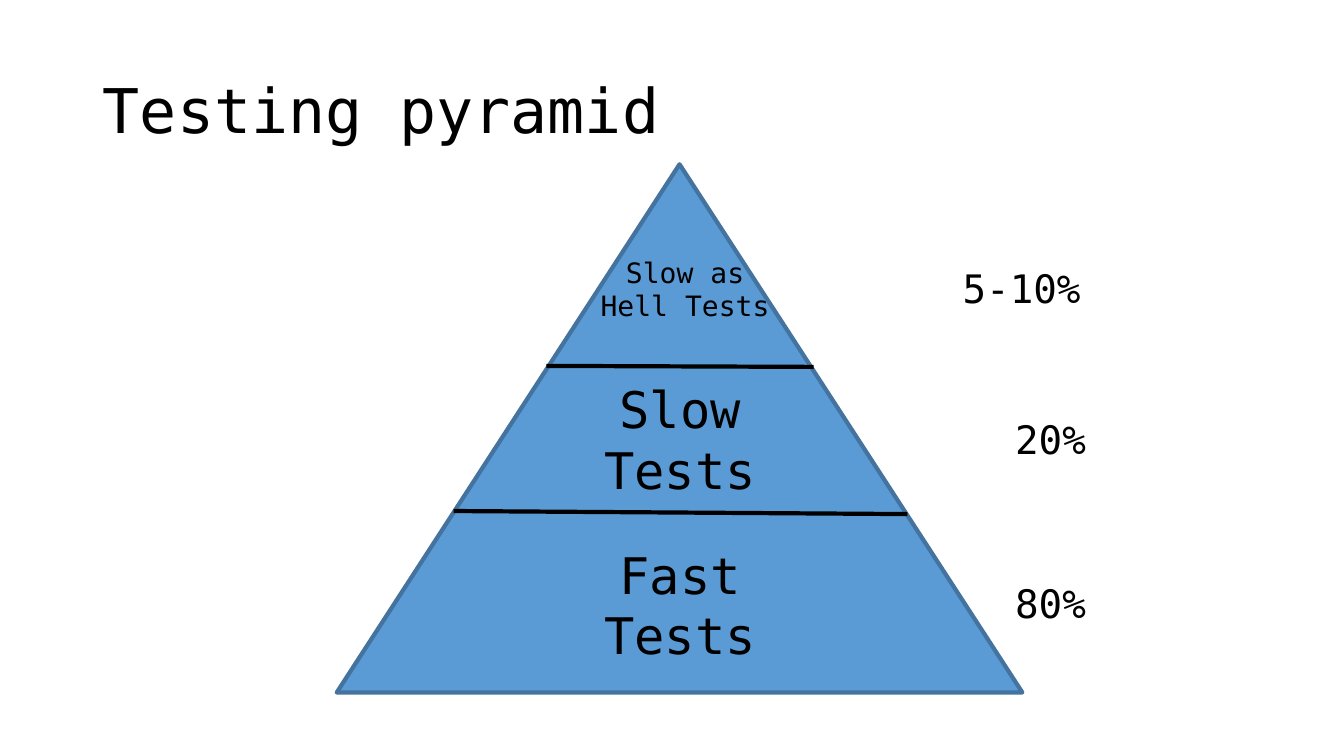
from dataclasses import dataclass

from lxml import etree
from pptx import Presentation
from pptx.dml.color import RGBColor
from pptx.enum import shapes, text
from pptx.oxml import ns
from pptx.util import Inches, Pt

FONT = "DejaVu Sans Mono"
COLORS = {"ink": "000000", "fill": "5B9BD5", "edge": "43739E"}


@dataclass
class Label:
    words: str
    left: float
    top: float
    width: float
    height: float
    size: int
    align: text.PP_ALIGN = text.PP_ALIGN.LEFT
    anchor: text.MSO_ANCHOR = text.MSO_ANCHOR.TOP


@dataclass
class Divider:
    x1: float
    y1: float
    x2: float
    y2: float


def tier(words: str, top: float, size: int, left: float = 5.38, height: float = 0.71) -> Label:
    return Label(words, left, top, 2.73, height, size,
                 text.PP_ALIGN.CENTER, text.MSO_ANCHOR.MIDDLE)


def share(words: str, top: float, left: float = 9.97, width: float = 0.95) -> Label:
    return Label(words, left, top, width, 0.57, 28)


DIVIDERS = [Divider(4.5, 5.07, 9, 5.1), Divider(5.42, 3.63, 8.07, 3.64)]
LABELS = [
    tier("Fast Tests", 5.64, 36),
    tier("Slow Tests", 4, 36),
    tier("Slow as\nHell Tests", 2.48, 20, left=5.43, height=0.77),
    share("80%", 5.7),
    share("20%", 4.07),
    share("5-10%", 2.57, left=9.45, width=1.63),
]


def rgb(name: str) -> RGBColor:
    return RGBColor.from_string(COLORS[name])


def write(tf, words: str, *, size: int, align=text.PP_ALIGN.LEFT,
          anchor=text.MSO_ANCHOR.TOP, spacing: float = 1.0,
          fit=text.MSO_AUTO_SIZE.SHAPE_TO_FIT_TEXT) -> None:
    tf.word_wrap = True
    tf.auto_size = fit
    tf.vertical_anchor = anchor
    for i, line in enumerate(words.split("\n")):
        p = tf.add_paragraph() if i else tf.paragraphs[0]
        p.alignment = align
        p.line_spacing = spacing
        r = p.add_run()
        r.text = line
        r.font.name = FONT
        r.font.size = Pt(size)
        r.font.color.rgb = rgb("ink")


def add_title(s, words: str) -> None:
    sp = s.shapes.title
    sp.left, sp.top = Inches(0.92), Inches(0.4)
    sp.width, sp.height = Inches(11.5), Inches(1.45)
    write(sp.text_frame, words, size=44, anchor=text.MSO_ANCHOR.MIDDLE,
          spacing=0.9, fit=text.MSO_AUTO_SIZE.NONE)


def add_pyramid(s) -> None:
    sp = s.shapes.add_shape(shapes.MSO_SHAPE.ISOSCELES_TRIANGLE,
                            Inches(3.34), Inches(1.63), Inches(6.8), Inches(5.24))
    sp.shadow.inherit = False
    sp.fill.solid()
    sp.fill.fore_color.rgb = rgb("fill")
    sp.line.color.rgb = rgb("edge")
    sp.line.width = Pt(3)


def add_divider(s, d: Divider) -> None:
    line = s.shapes.add_connector(shapes.MSO_CONNECTOR.STRAIGHT,
                                  Inches(d.x1), Inches(d.y1), Inches(d.x2), Inches(d.y2))
    line.line.color.rgb = rgb("ink")
    line.line.width = Pt(3)
    etree.SubElement(line._element.spPr, ns.qn("a:effectLst"))


def add_label(s, label: Label) -> None:
    sp = s.shapes.add_textbox(Inches(label.left), Inches(label.top),
                              Inches(label.width), Inches(label.height))
    write(sp.text_frame, label.words, size=label.size,
          align=label.align, anchor=label.anchor)


def main() -> None:
    prs = Presentation()
    prs.slide_width, prs.slide_height = Inches(13.33), Inches(7.5)
    s = prs.slides.add_slide(prs.slide_layouts[5])
    add_title(s, "Testing pyramid")
    add_pyramid(s)
    for divider in DIVIDERS:
        add_divider(s, divider)
    for label in LABELS:
        add_label(s, label)
    prs.save("out.pptx")


if __name__ == "__main__":
    main()
